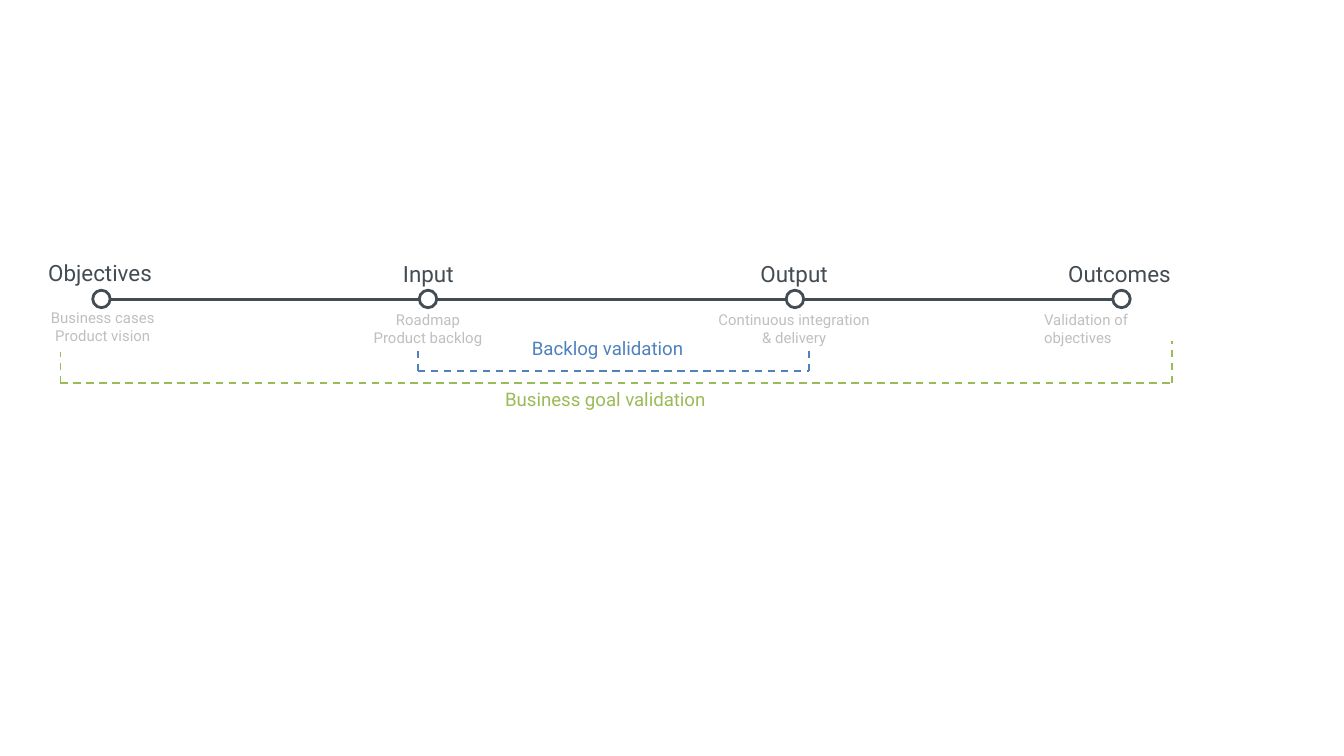
from pptx import Presentation
from pptx.dml.color import RGBColor
from pptx.enum import dml, shapes, text
from pptx.util import Inches, Pt
from lxml import etree

COLORS = {"dark": "434C53", "grey": "BFBFBF", "blue": "4F81BD",
          "green": "9BBB59", "white": "FFFFFF"}
A = "http://schemas.openxmlformats.org/drawingml/2006/main"

prs = Presentation()
prs.slide_width = Inches(10)
prs.slide_height = prs.slide_width * 9 // 16
s = prs.slides.add_slide(prs.slide_layouts[6])


def add_line(x1, y1, x2, y2, color, width, dashed=True):
    ln = s.shapes.add_connector(shapes.MSO_CONNECTOR.STRAIGHT,
                                *map(Inches, (x1, y1, x2, y2)))
    ln.line.color.rgb = RGBColor.from_string(COLORS[color])
    ln.line.width = Pt(width)
    if dashed:
        ln.line.dash_style = dml.MSO_LINE.DASH
    etree.SubElement(ln._element.spPr, f"{{{A}}}effectLst")


def add_label(x, y, w, h, words, size, color, align=text.PP_ALIGN.LEFT):
    tf = s.shapes.add_textbox(*map(Inches, (x, y, w, h))).text_frame
    tf.word_wrap = False
    tf.auto_size = text.MSO_AUTO_SIZE.SHAPE_TO_FIT_TEXT
    tf.text = words
    for p in tf.paragraphs:
        p.alignment = align
        for r in p.runs:
            for name, value in {"size": Pt(size), "name": "Roboto"}.items():
                setattr(r.font, name, value)
            r.font.color.rgb = RGBColor.from_string(COLORS[color])


add_line(0.82, 2.23, 8.34, 2.23, "dark", 1.5, dashed=False)
for x in (0.69, 3.12, 5.85, 8.28):
    dot = s.shapes.add_shape(shapes.MSO_SHAPE.OVAL, Inches(x), Inches(2.16),
                             Inches(0.13), Inches(0.13))
    dot.shadow.inherit = False
    dot.fill.solid()
    dot.fill.fore_color.rgb = RGBColor.from_string(COLORS["white"])
    dot.line.color.rgb = RGBColor.from_string(COLORS["dark"])
    dot.line.width = Pt(1.5)

stages = [(0.26, 1.88, 0.99, "Objectives"), (2.9, 1.89, 0.58, "Input"),
          (5.56, 1.89, 0.71, "Output"), (7.85, 1.89, 0.97, "Outcomes")]
for x, y, w, words in stages:
    add_label(x, y, w, 0.3, words, 12, "dark")

center, left = text.PP_ALIGN.CENTER, text.PP_ALIGN.LEFT
details = [(0.27, 2.25, 0.99, 0.37, "Business cases\nProduct vision", center),
           (2.68, 2.26, 1.01, 0.37, "Roadmap\nProduct backlog", center),
           (5.24, 2.26, 1.34, 0.37, "Continuous integration\n& delivery", center),
           (7.67, 2.26, 1.34, 0.24, "Validation of objectives", left)]
for x, y, w, h, words, align in details:
    add_label(x, y, w, h, words, 8, "grey", align)

brackets = [("blue", 3.11, 6.02, 2.76, 2.6, 2.59),
            ("green", 0.45, 8.72, 2.85, 2.62, 2.54)]
for color, x1, x2, base, top1, top2 in brackets:
    add_line(x1, base, x2, base, color, 1)
    add_line(x1, base, x1, top1, color, 1)
    add_line(x2, base, x2, top2, color, 1)

add_label(3.86, 2.46, 1.33, 0.27, "Backlog validation", 10, "blue")
add_label(3.66, 2.84, 1.71, 0.27, "Business goal validation", 10, "green")

prs.save("out.pptx")
